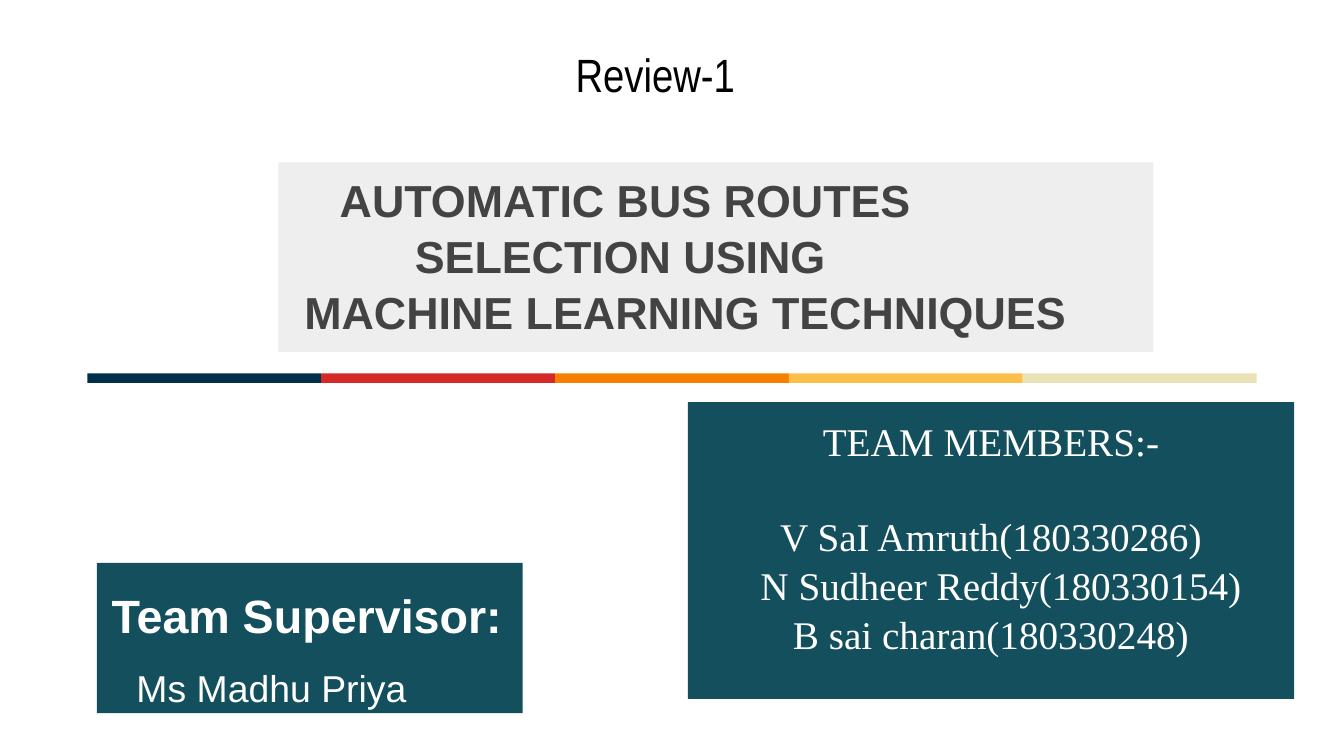
from dataclasses import dataclass

from pptx import Presentation
from pptx.dml.color import RGBColor
from pptx.enum.shapes import MSO_SHAPE as Shape
from pptx.enum.text import MSO_ANCHOR as Anchor, MSO_AUTO_SIZE as AutoSize, PP_ALIGN as Align
from pptx.util import Cm, Pt

WHITE = RGBColor(0xFF, 0xFF, 0xFF)
BLACK = RGBColor(0x00, 0x00, 0x00)
CHARCOAL = RGBColor(0x43, 0x43, 0x43)
PALE_GRAY = RGBColor(0xEE, 0xEE, 0xEE)
TEAL = RGBColor(0x13, 0x4F, 0x5C)
STRIPE_COLORS = [
    RGBColor(0x00, 0x30, 0x49),
    RGBColor(0xD6, 0x28, 0x28),
    RGBColor(0xF7, 0x7F, 0x00),
    RGBColor(0xFC, 0xBF, 0x49),
    RGBColor(0xEA, 0xE2, 0xB7),
]
STRIPE_LEFT, STRIPE_TOP, STRIPE_WIDTH, STRIPE_HEIGHT = 1.65, 7.06, 4.42, 0.18


@dataclass
class Box:
    left: float
    top: float
    width: float
    height: float


@dataclass
class Line:
    text: str
    size: float
    indent: float = 0
    before: float = 0
    bold: bool = False


def place(sp, box: Box) -> None:
    sp.left, sp.top = Cm(box.left), Cm(box.top)
    sp.width, sp.height = Cm(box.width), Cm(box.height)


def add_rect(s, box: Box, color: RGBColor):
    sp = s.shapes.add_shape(Shape.RECTANGLE, 0, 0, 0, 0)
    place(sp, box)
    sp.shadow.inherit = False
    sp.fill.solid()
    sp.fill.fore_color.rgb = color
    sp.line.fill.background()
    return sp


def write(sp, lines: list[Line], font: str, color: RGBColor, align=Align.LEFT,
          anchor=Anchor.TOP, spacing: float = 1.04) -> None:
    tf = sp.text_frame
    tf.word_wrap = True
    tf.auto_size = AutoSize.NONE
    tf.vertical_anchor = anchor
    tf.margin_left = tf.margin_right = tf.margin_top = tf.margin_bottom = Cm(0.25)
    for i, line in enumerate(lines):
        p = tf.add_paragraph() if i else tf.paragraphs[0]
        p.text = line.text
        p.alignment = align
        p.line_spacing = spacing
        p.space_before = Pt(line.before)
        p.font.name = font
        p.font.size = Pt(line.size)
        p.font.bold = line.bold
        p.font.color.rgb = color
        pPr = p._p.get_or_add_pPr()
        pPr.set("marL", str(Cm(line.indent)))
        pPr.set("indent", "0")


def main() -> None:
    prs = Presentation()
    prs.slide_width, prs.slide_height = Cm(25.4), Cm(14.29)
    s = prs.slides.add_slide(prs.slide_layouts[5])
    s.background.fill.solid()
    s.background.fill.fore_color.rgb = WHITE

    for i, color in enumerate(STRIPE_COLORS):
        left = STRIPE_LEFT + i * STRIPE_WIDTH
        add_rect(s, Box(left, STRIPE_TOP, STRIPE_WIDTH, STRIPE_HEIGHT), color)

    title = s.shapes.title
    place(title, Box(5.26, 3.07, 16.54, 3.58))
    title.fill.solid()
    title.fill.fore_color.rgb = PALE_GRAY
    write(title, [
        Line("AUTOMATIC BUS ROUTES", 24, 0.91, bold=True),
        Line("SELECTION USING", 24, 2.33, bold=True),
        Line("MACHINE LEARNING TECHNIQUES", 24, 0.24, bold=True),
    ], "Arial", CHARCOAL, anchor=Anchor.BOTTOM)

    review = s.shapes.add_textbox(0, 0, 0, 0)
    place(review, Box(9.88, 0.58, 5.33, 1.57))
    write(review, [Line("Review-1", 25, 0.75)], "Arial Narrow", BLACK)

    members = add_rect(s, Box(13, 7.6, 11.46, 5.61), TEAL)
    write(members, [
        Line("TEAM MEMBERS:-", 21),
        Line("V SaI Amruth(180330286)", 21, before=25),
        Line("N Sudheer Reddy(180330154)", 21, 0.38),
        Line("B sai charan(180330248)", 21),
    ], "Times New Roman", WHITE, align=Align.CENTER)

    supervisor = add_rect(s, Box(1.83, 10.64, 8.05, 2.84), TEAL)
    write(supervisor, [
        Line("Team Supervisor:", 25, 0.03, before=1, bold=True),
        Line("Ms Madhu Priya", 20, 0.5, before=7),
    ], "Arial", WHITE, spacing=1.2)

    prs.save("out.pptx")


if __name__ == "__main__":
    main()
